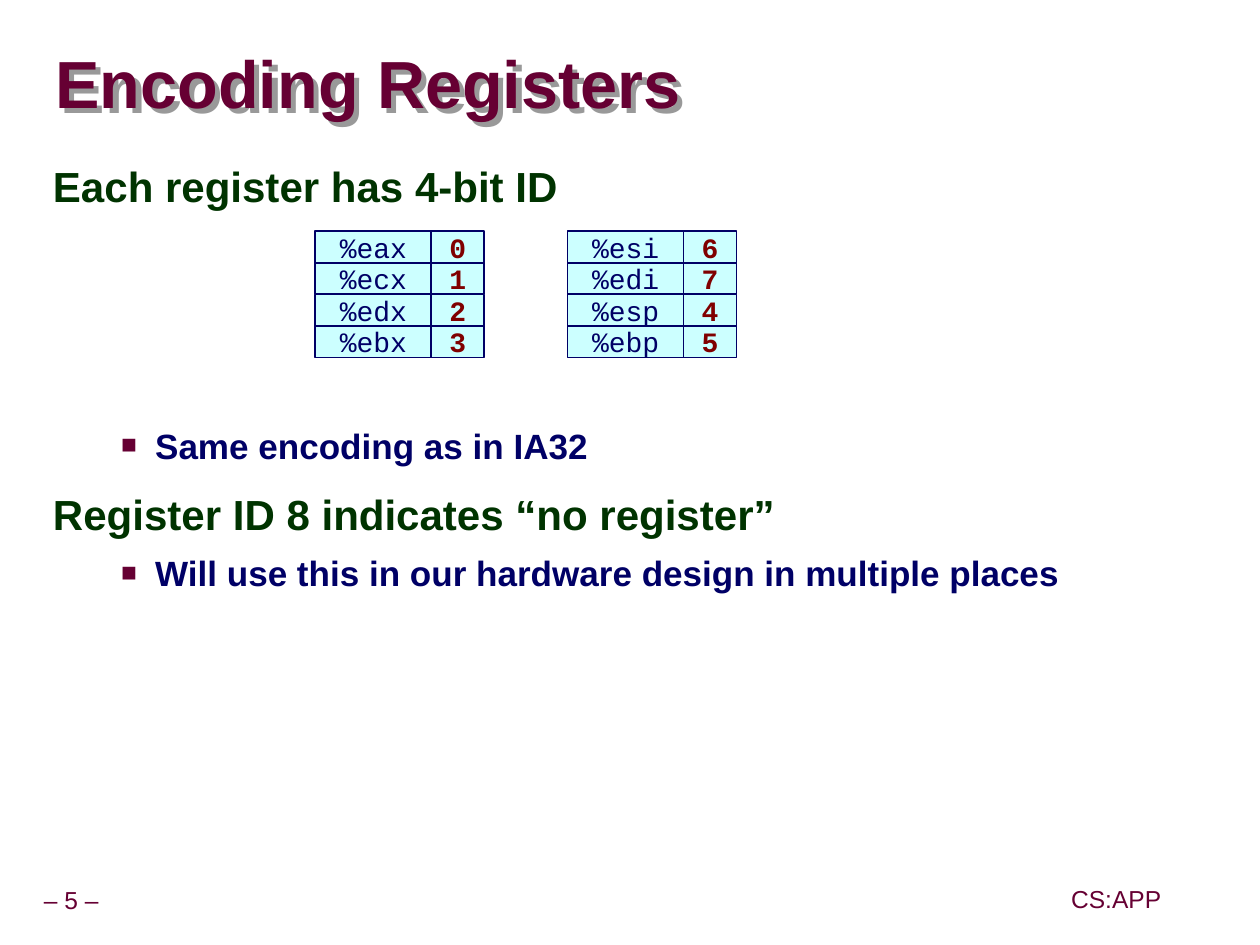
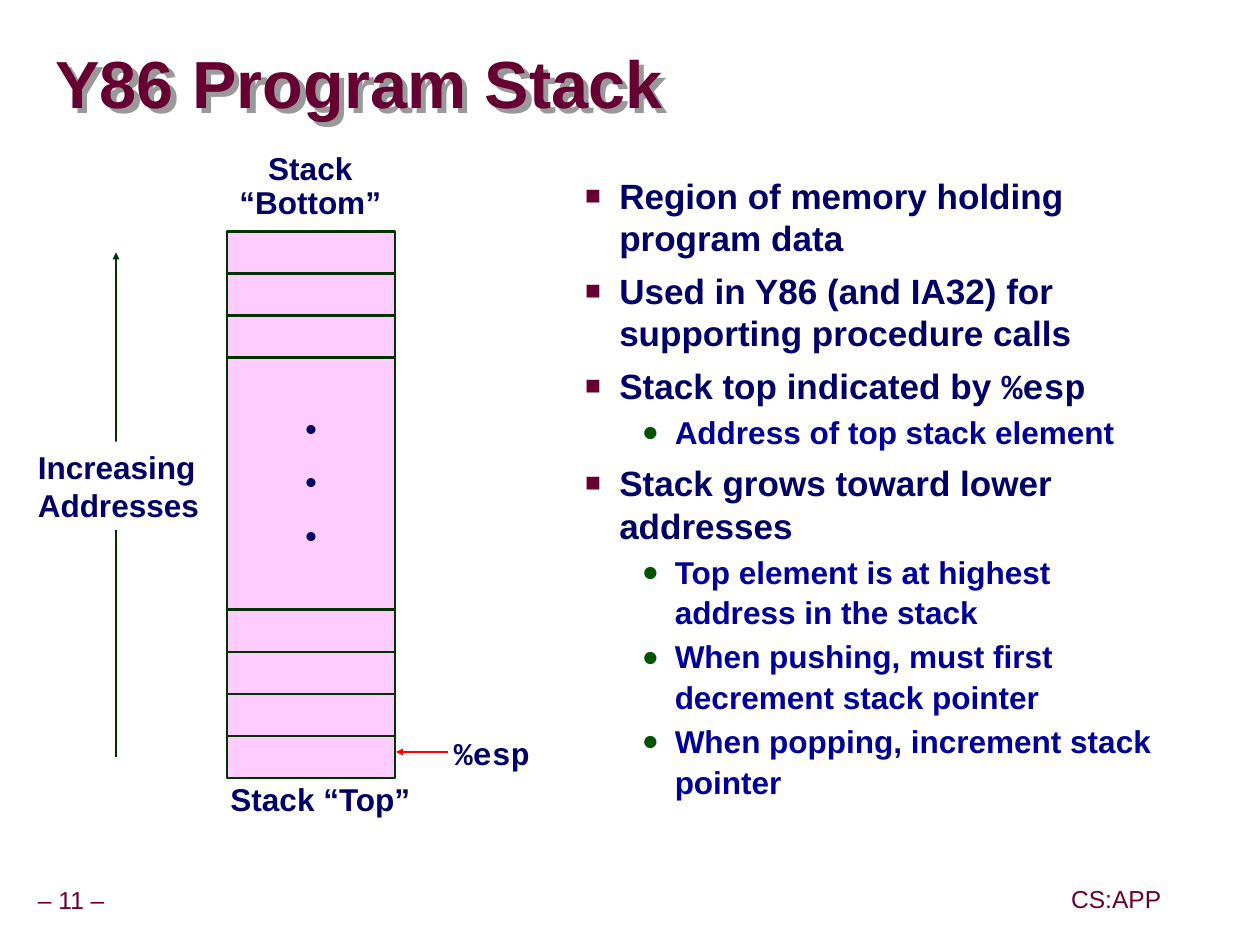
from pptx import Presentation
from pptx.dml.color import RGBColor
from pptx.enum.shapes import MSO_CONNECTOR as LINE, MSO_SHAPE as SHAPE
from pptx.enum.text import MSO_ANCHOR as ANCHOR, MSO_AUTO_SIZE as AUTO, PP_ALIGN as ALIGN
from pptx.oxml import parse_xml
from pptx.oxml.ns import nsdecls
from pptx.util import Inches, Pt

WINE = RGBColor(0x66, 0x00, 0x33)
GREEN = RGBColor(0x00, 0x33, 0x00)
LEAF = RGBColor(0x00, 0x54, 0x00)
NAVY = RGBColor(0x00, 0x00, 0x66)
BLUE = RGBColor(0x00, 0x00, 0x99)
BROWN = RGBColor(0x80, 0x00, 0x00)
RED = RGBColor(0xFF, 0x00, 0x02)
CYAN = RGBColor(0xCC, 0xFF, 0xFF)
PINK = RGBColor(0xFF, 0xCC, 0xFF)
GRAY = RGBColor(0x99, 0x99, 0x99)
WHITE = RGBColor(0xFF, 0xFF, 0xFF)
SANS, MONO = "Arial", "Courier New"
STEP = 1 / 3

HEAD = dict(size=24, color=GREEN, ls=0.95, before=15, indent=(0.42, -0.42))
ITEM = dict(size=20, level=1, before=6.2, indent=(0.81, -0.27), bullet=("■", WINE, 75))
SUB = dict(size=18, color=BLUE, level=2, ls=1.07, before=2.2, indent=(1.25, -0.26),
           bullet=("●", LEAF, 90))
FOOT = dict(size=14, color=WINE, bold=False, ls=0.9, align=ALIGN.CENTER)


def put(frame, text, size=18, color=NAVY, font=SANS, bold=True, align=ALIGN.LEFT,
        ls=1.0, before=0, level=0, indent=(0, 0), bullet=None, code=""):
    first = not frame.text
    para = frame.paragraphs[0] if first else frame.add_paragraph()
    props = para._p.get_or_add_pPr()
    for key, val in zip(("marL", "indent"), indent):
        props.set(key, str(Inches(val)))
    if bullet:
        mark, tint, pct = bullet
        marks = (f'<a:buClr {nsdecls("a")}><a:srgbClr val="{tint}"/></a:buClr>',
                 f'<a:buSzPct {nsdecls("a")} val="{pct * 1000}"/>',
                 f'<a:buFont {nsdecls("a")} typeface="{SANS}"/>',
                 f'<a:buChar {nsdecls("a")} char="{mark}"/>')
    else:
        marks = (f'<a:buNone {nsdecls("a")}/>',)
    for xml in marks:
        props.append(parse_xml(xml))
    para.level, para.alignment, para.line_spacing = level, align, ls
    para.space_before = Pt(0 if first else before)
    for part, face in ((text, font), (code, MONO)):
        if part:
            run = para.add_run()
            run.text = part
            run.font.name, run.font.size, run.font.bold = face, Pt(size), bold
            run.font.color.rgb = color


def box(slide, x, y, w, h, fill=None, line=None, thick=1.5, wrap=True, anchor=ANCHOR.TOP):
    spot = [Inches(n) for n in (x, y, w, h)]
    if fill is None:
        shape = slide.shapes.add_textbox(*spot)
    else:
        shape = slide.shapes.add_shape(SHAPE.RECTANGLE, *spot)
        shape.shadow.inherit = False
        shape.fill.solid()
        shape.fill.fore_color.rgb = fill
        if line is None:
            shape.line.fill.background()
        else:
            shape.line.color.rgb = line
            shape.line.width = Pt(thick)
    frame = shape.text_frame
    frame.word_wrap, frame.vertical_anchor = wrap, anchor
    frame.margin_left = frame.margin_right = Inches(0.05)
    frame.margin_top = frame.margin_bottom = Inches(0.05)
    return frame


deck = Presentation()
deck.slide_width, deck.slide_height = Inches(9.99), Inches(7.49)

slides = []
for name, page, spot in (("Encoding Registers", 5, (0.32, 1.25, 9.07, 5.78)),
                         ("Y86 Program Stack", 11, (4, 4 * STEP, 5.39, 5.7))):
    slide = deck.slides.add_slide(deck.slide_layouts[1])
    title, body = slide.placeholders
    title.left, title.top, title.width, title.height = [
        Inches(n) for n in (0.44, 0.27, 9.52, 0.85)]
    body.left, body.top, body.width, body.height = [Inches(n) for n in spot]
    frame = title.text_frame
    frame.margin_left = frame.margin_right = frame.margin_top = frame.margin_bottom = 0
    frame.vertical_anchor = ANCHOR.MIDDLE
    frame.auto_size = body.text_frame.auto_size = AUTO.NONE
    put(frame, name, size=38, color=WINE, ls=0.87)
    title._element.spPr.append(parse_xml(
        f'<a:effectLst {nsdecls("a")}><a:outerShdw dist="53882" dir="2700000">'
        f'<a:srgbClr val="{GRAY}"/></a:outerShdw></a:effectLst>'))
    put(box(slide, 0.06, 6.99, 1.01, 0.31, wrap=False, anchor=ANCHOR.MIDDLE),
        f"– {page} –", **FOOT)
    put(box(slide, 8.44, 6.98, 0.82, 0.31, wrap=False, anchor=ANCHOR.MIDDLE),
        "CS:APP", **FOOT)
    slides.append((slide, body.text_frame))

slide, body = slides[0]
put(body, "Each register has 4-bit ID", **HEAD)
put(body, "Same encoding as in IA32", **{**ITEM, "before": 121})
put(body, "Register ID 8 indicates “no register”", **HEAD)
put(body, "Will use this in our hardware design in multiple places", **ITEM)

for left, regs in ((2.5, (("%eax", 0), ("%ecx", 1), ("%edx", 2), ("%ebx", 3))),
                   (4.5, (("%esi", 6), ("%edi", 7), ("%esp", 4), ("%ebp", 5)))):
    for row, (reg, code) in enumerate(regs):
        for x, w, text, tint in ((left, 0.92, reg, NAVY), (left + 0.92, 0.42, str(code), BROWN)):
            cell = box(slide, x, 5.5 * STEP + row * 0.25, w, 0.25, CYAN, NAVY, thick=1,
                       wrap=False, anchor=ANCHOR.MIDDLE)
            put(cell, text, size=16, color=tint, font=MONO, bold=tint == BROWN,
                align=ALIGN.CENTER)

slide, body = slides[1]
put(body, "Region of memory holding program data", **ITEM)
put(body, "Used in Y86 (and IA32) for supporting procedure calls", **ITEM)
put(body, "Stack top indicated by ", code="%esp", **ITEM)
put(body, "Address of top stack element", **SUB)
put(body, "Stack grows toward lower addresses", **ITEM)
for text in ("Top element is at highest address in the stack",
             "When pushing, must first decrement stack pointer",
             "When popping, increment stack pointer"):
    put(body, text, **SUB)

for row in (0, 1, 2, 9, 10, 11, 12):
    box(slide, 1.8, (5.5 + row) * STEP, 4 * STEP, STEP, PINK, GREEN)
gap = box(slide, 1.8, 8.5 * STEP, 4 * STEP, 6 * STEP, PINK, GREEN, anchor=ANCHOR.MIDDLE)
for dot in "•••":
    put(gap, dot, font=MONO, align=ALIGN.CENTER, ls=0.9, before=11.2)

for x1, y1, x2, y2, tint in ((3.55, 5.96, 3.14, 5.96, RED), (0.92, 6, 0.92, 2, GREEN)):
    arrow = slide.shapes.add_connector(LINE.STRAIGHT, Inches(x1), Inches(y1),
                                       Inches(x2), Inches(y2))
    arrow.line.color.rgb, arrow.line.width = tint, Pt(1.5)
    arrow.line._get_or_add_ln().append(
        parse_xml(f'<a:tailEnd {nsdecls("a")} type="triangle" w="sm" len="sm"/>'))
    arrow._element.spPr.append(parse_xml(f'<a:effectLst {nsdecls("a")}/>'))

put(box(slide, 3.55, 5.8, 0.7, 0.37, wrap=False), "%esp", font=MONO, ls=0.9)
note = box(slide, 0.25, 3.5, 1.5, 0.7, WHITE)
put(note, "Increasing")
put(note, "Addresses")
put(box(slide, 1.58, 6.17, 1.92, 0.37), "Stack “Top”", align=ALIGN.CENTER, ls=0.9)
put(box(slide, 1.5, 3.5 * STEP, 1.92, 0.64), "Stack “Bottom”", align=ALIGN.CENTER, ls=0.9)

deck.save("out.pptx")
